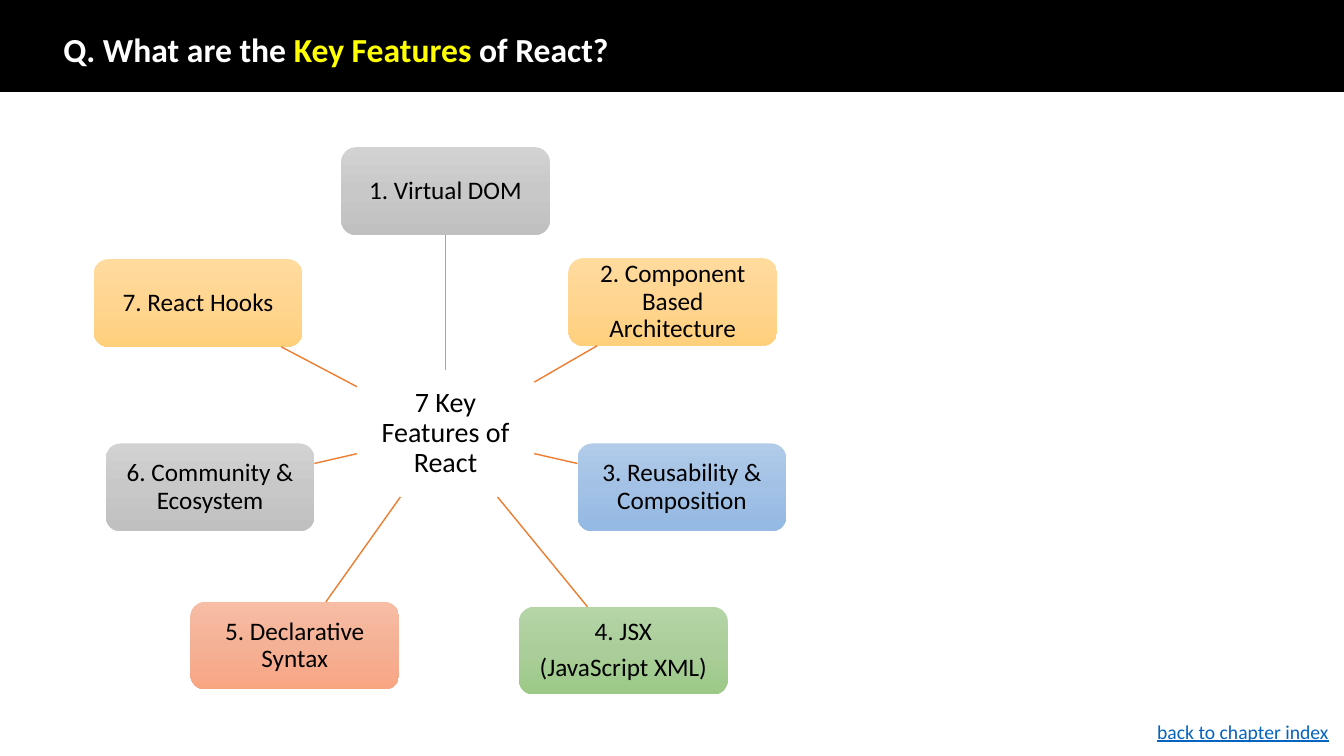
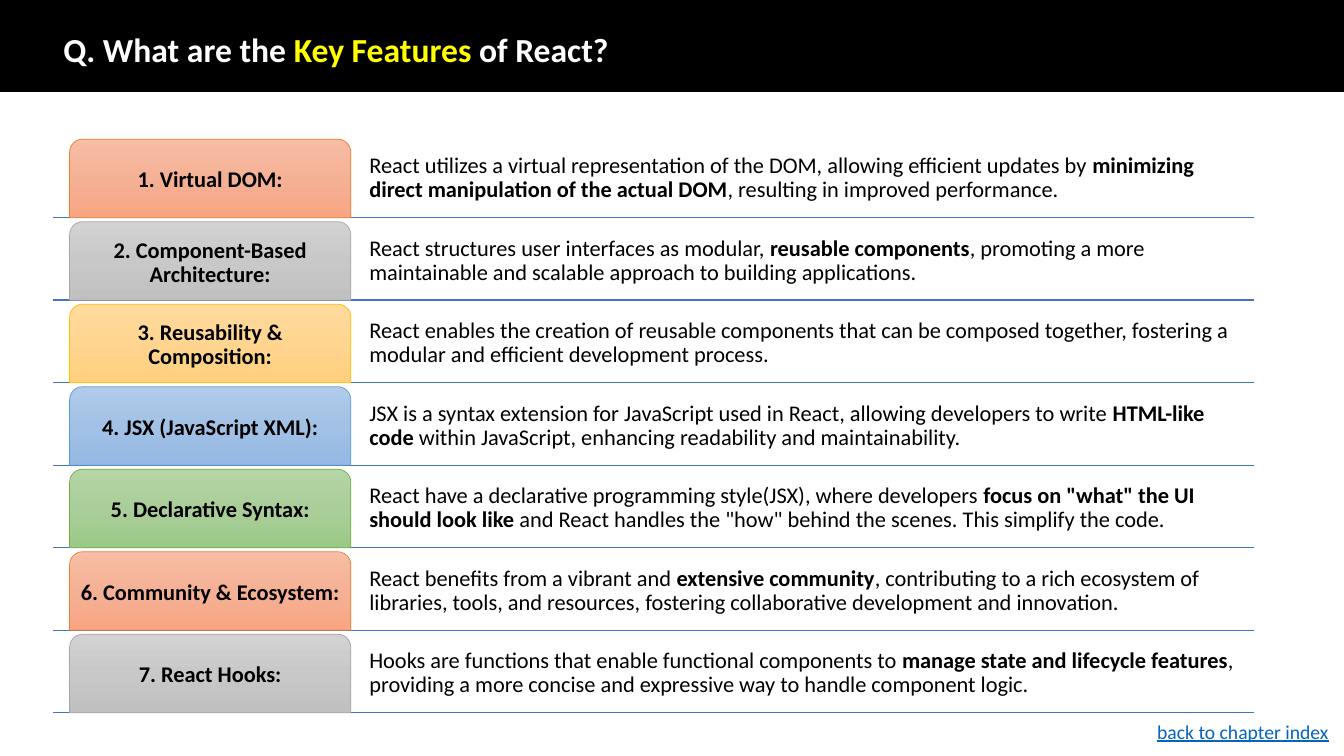
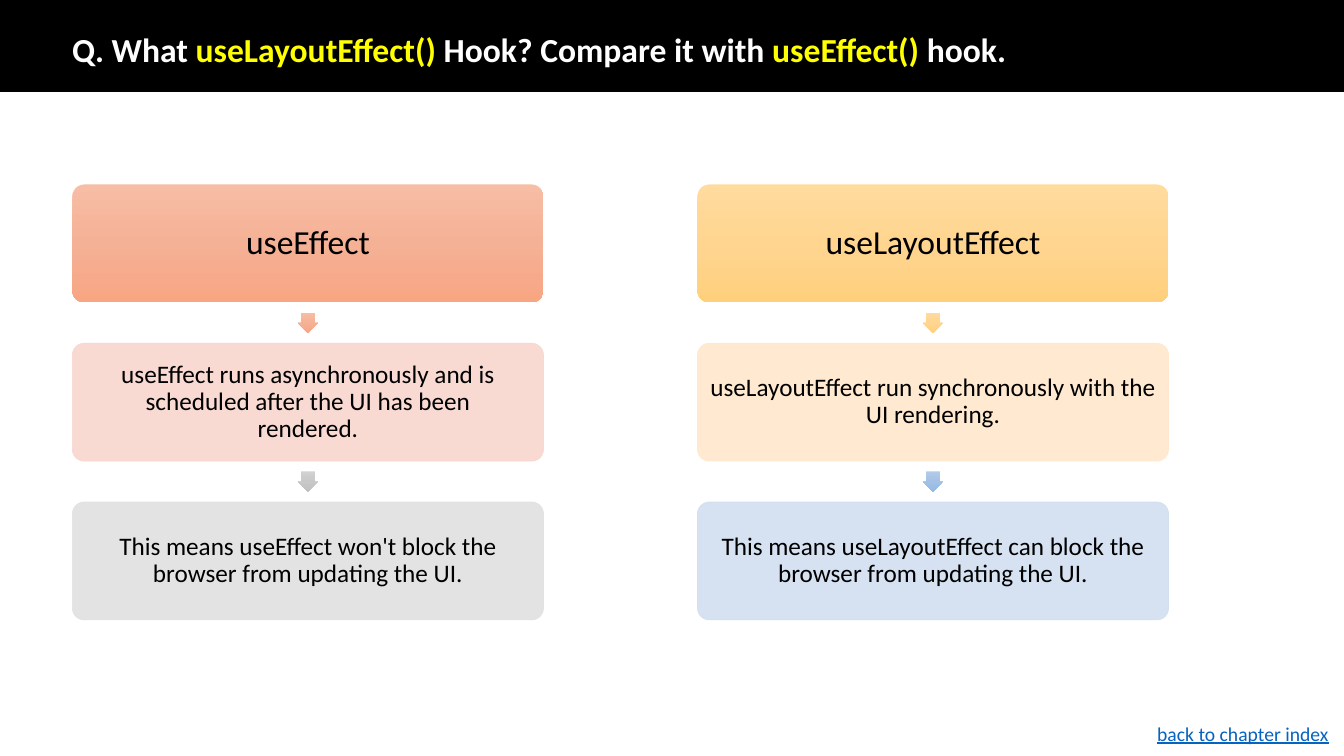
import copy
from dataclasses import dataclass
from typing import Optional

import lxml.etree
import pptx
import pptx.dml.color
import pptx.enum.shapes
import pptx.enum.text
import pptx.oxml.ns
import pptx.util

Pt = pptx.util.Pt
qn = pptx.oxml.ns.qn
SHAPE = pptx.enum.shapes.MSO_SHAPE
ALIGN = pptx.enum.text.PP_ALIGN
ANCHOR = pptx.enum.text.MSO_ANCHOR

FONT = "Calibri"
SLIDE_W, SLIDE_H = 960, 540
COLORS = {
    "black": "000000", "white": "FFFFFF", "yellow": "FFFF00", "link": "0563C1",
    "rule": "4472C4", "orange": "ED7D31", "gray": "A5A5A5", "gold": "FFC000",
    "blue": "5B9BD5", "green": "70AD47",
    "pale orange": "F8D7CE", "pale gray": "E1E1E1",
    "pale gold": "FFE8CC", "pale blue": "D2DFF0",
}
GRADIENTS = {
    "orange": ("F7BDA5", "F5B196", "F8A582"),
    "gray": ("D2D2D2", "C8C8C8", "C0C0C0"),
    "gold": ("FFDB9E", "FFD590", "FFD07C"),
    "blue": ("B1CBE9", "A3C1E5", "93B9E4"),
    "green": ("B5D5A7", "AACE9A", "9CC987"),
}


@dataclass
class Box:
    x: float
    y: float
    w: float
    h: float

    @property
    def center(self) -> tuple[float, float]:
        return self.x + self.w / 2, self.y + self.h / 2


@dataclass
class Style:
    size: float
    color: str = "black"
    bold: bool = False
    underline: bool = False
    align: Optional[int] = ALIGN.CENTER
    spacing: Optional[float] = 0.9
    mark_color: Optional[str] = None  # emphasis by colour; bold when None


@dataclass
class Feature:
    text: str
    hue: str
    cx: float
    cy: float


@dataclass
class Row:
    label: str
    hue: str
    text: str


@dataclass
class Step:
    text: str
    fill: str
    arrow: str


@dataclass
class Column:
    x: float
    head: str
    hue: str
    inset: float
    steps: list[Step]


TITLE = Style(24, "white", bold=True, align=None, mark_color="yellow")
LINK = Style(14, "link", underline=True, align=None, spacing=None)


# Shared helpers
def rgb(value: str) -> pptx.dml.color.RGBColor:
    return pptx.dml.color.RGBColor.from_string(value)


def write(sp, text: str, style: Style, inset_x: float, inset_y: float, anchor=ANCHOR.MIDDLE) -> None:
    """Fill a shape with text; *stars* enclose emphasised runs."""
    tf = sp.text_frame
    tf.word_wrap = True
    tf.vertical_anchor = anchor
    tf.margin_left = tf.margin_right = Pt(inset_x)
    tf.margin_top = tf.margin_bottom = Pt(inset_y)
    for i, line in enumerate(text.split("\n")):
        p = tf.add_paragraph() if i else tf.paragraphs[0]
        if i:
            p.space_before = Pt(round(0.35 * style.size, 1))
        p.alignment = style.align
        p.line_spacing = style.spacing
        p.font.name = FONT
        p.font.size = Pt(style.size)
        p.font.bold = style.bold
        p.font.underline = style.underline
        p.font.color.rgb = rgb(COLORS[style.color])
        for j, part in enumerate(line.split("*")):
            if not part:
                continue
            r = p.add_run()
            r.text = part
            if j % 2 and style.mark_color:
                r.font.color.rgb = rgb(COLORS[style.mark_color])
            elif j % 2:
                r.font.bold = True


def add_text(s, box: Box, text: str, style: Style, inset_x: float = 7.2,
             inset_y: float = 3.6, anchor=ANCHOR.MIDDLE) -> None:
    sp = s.shapes.add_textbox(Pt(box.x), Pt(box.y), Pt(box.w), Pt(box.h))
    write(sp, text, style, inset_x, inset_y, anchor)


def fill_gradient(sp, hue: str) -> None:
    sp.fill.gradient()
    sp.fill.gradient_angle = 270
    stops = sp._element.spPr.find(".//" + qn("a:gsLst"))
    stops.insert(1, copy.deepcopy(stops[0]))
    for stop, position, value in zip(sp.fill.gradient_stops, (0, 0.5, 1), GRADIENTS[hue]):
        stop.position = position
        stop.color.rgb = rgb(value)


def add_shape(s, kind, box: Box, fill: str = "", hue: str = "",
              line: str = "", line_width: float = 0.5, adjust: tuple[float, ...] = ()):
    sp = s.shapes.add_shape(kind, Pt(box.x), Pt(box.y), Pt(box.w), Pt(box.h))
    sp.shadow.inherit = False
    for i, value in enumerate(adjust):
        sp.adjustments[i] = value
    if hue:
        fill_gradient(sp, hue)
    else:
        sp.fill.solid()
        sp.fill.fore_color.rgb = rgb(COLORS[fill])
    if line:
        sp.line.color.rgb = rgb(COLORS[line])
        sp.line.width = Pt(line_width)
    else:
        sp.line.fill.background()
    return sp


def set_alpha(sp, percent: int) -> None:
    for color in sp._element.spPr.iter(qn("a:srgbClr")):
        lxml.etree.SubElement(color, qn("a:alpha"), val=str(percent * 1000))


def add_line(s, start: tuple[float, float], end: tuple[float, float], color: str):
    c = s.shapes.add_connector(pptx.enum.shapes.MSO_CONNECTOR.STRAIGHT,
                               *(Pt(v) for v in (*start, *end)))
    c.line.color.rgb = rgb(COLORS[color])
    c.line.width = Pt(1)
    lxml.etree.SubElement(c._element.spPr, qn("a:effectLst"))
    return c


def add_slide(prs, title: str, title_x: float = 38.2, link_y: float = 510.5):
    s = prs.slides.add_slide(prs.slide_layouts[6])
    add_shape(s, SHAPE.RECTANGLE, Box(0, 0, SLIDE_W, 65.5), fill="black", line="black", line_width=1)
    add_text(s, Box(title_x, 24.5, 828, 25.2), title, TITLE)
    add_text(s, Box(819.5, link_y, 140.5, 24.5), "back to chapter index", LINK, anchor=ANCHOR.TOP)
    return s


# Slide 1: features around a hub
HUB = Box(254.9, 264.2, 126.7, 90.8)
FEATURE_W, FEATURE_H = 149, 62.6
FEATURES = [
    Feature("1. Virtual DOM", "gray", 318.25, 136.5),
    Feature("2. Component Based Architecture", "gold", 480.6, 215.7),
    Feature("3. Reusability & Composition", "blue", 487.1, 348.1),
    Feature("4. JSX\n(JavaScript XML)", "green", 445.3, 464.8),
    Feature("5. Declarative Syntax", "orange", 210.6, 461.2),
    Feature("6. Community & Ecosystem", "gray", 150.1, 348.1),
    Feature("7. React Hooks", "gold", 141.5, 216.4),
]


def edge_point(box: Box, target: tuple[float, float]) -> tuple[float, float]:
    """Where the line from the box centre to the target leaves the box."""
    cx, cy = box.center
    dx, dy = target[0] - cx, target[1] - cy
    t = 1 / max(abs(dx) / (box.w / 2), abs(dy) / (box.h / 2))
    return cx + dx * t, cy + dy * t


def build_hub_slide(prs, title: str) -> None:
    s = add_slide(prs, title)
    hub = add_shape(s, SHAPE.ROUNDED_RECTANGLE, HUB, fill="white")
    write(hub, "7 Key Features of React", Style(20), 4.3, 4.3)
    for i, f in enumerate(FEATURES):
        box = Box(f.cx - FEATURE_W / 2, f.cy - FEATURE_H / 2, FEATURE_W, FEATURE_H)
        sp = add_shape(s, SHAPE.ROUNDED_RECTANGLE, box, hue=f.hue)
        write(sp, f.text, Style(18), 3.6, 3.6)
        spoke = add_line(s, edge_point(HUB, box.center), edge_point(box, HUB.center),
                         "orange" if i else "gray")
        if i == 0:  # the vertical spoke meets both side middles
            spoke.begin_connect(hub, 0)
            spoke.end_connect(sp, 2)


# Slide 2: labelled rows
ROW_TOP, ROW_H, ROW_PITCH = 99.4, 56.1, 58.94
ROWS = [
    Row("1. Virtual DOM:", "orange",
        "React utilizes a virtual representation of the DOM, allowing efficient updates by "
        "*minimizing direct manipulation of the actual DOM*, resulting in improved performance."),
    Row("2. Component-Based Architecture:", "gray",
        "React structures user interfaces as modular, *reusable components*, promoting a more "
        "maintainable and scalable approach to building applications."),
    Row("3. Reusability & Composition:", "gold",
        "React enables the creation of reusable components that can be composed together, "
        "fostering a modular and efficient development process."),
    Row("4. JSX (JavaScript XML):", "blue",
        "JSX is a syntax extension for JavaScript used in React, allowing developers to write "
        "*HTML-like code* within JavaScript, enhancing readability and maintainability."),
    Row("5. Declarative Syntax:", "green",
        "React have a declarative programming style(JSX), where developers "
        "*focus on \"what\" the UI should look like* and React handles the \"how\" behind the "
        "scenes. This simplify the code."),
    Row("6. Community & Ecosystem:", "orange",
        "React benefits from a vibrant and *extensive community*, contributing to a rich "
        "ecosystem of libraries, tools, and resources, fostering collaborative development "
        "and innovation."),
    Row("7. React Hooks:", "gray",
        "Hooks are functions that enable functional components to *manage state and lifecycle "
        "features*, providing a more concise and expressive way to handle component logic."),
]


def build_rows_slide(prs, title: str) -> None:
    s = add_slide(prs, title)
    for i, row in enumerate(ROWS):
        y = ROW_TOP + i * ROW_PITCH
        add_line(s, (38.2, y + ROW_H), (895.7, y + ROW_H), "rule")
        add_text(s, Box(261.4, y, 634.3, ROW_H), row.text, Style(16, align=None), 2.4, 2.4)
        label = add_shape(s, SHAPE.ROUND_2_SAME_RECTANGLE, Box(49.7, y, 200.9, ROW_H),
                          hue=row.hue, line=row.hue)
        write(label, row.label, Style(16, bold=True), 2.4, 2.4)


# Slide 3: two columns of steps
STEP_TOP, STEP_W, STEP_H, STEP_PITCH, ARROW = 131.8, 336.5, 84.2, 113.4, 14.6
COLUMNS = [
    Column(51.7, "useEffect", "orange", 14.4, [
        Step("useEffect runs asynchronously and is scheduled after the UI has been rendered.",
             "pale orange", "orange"),
        Step("This means useEffect won't block the browser from updating the UI.",
             "pale gray", "gray"),
    ]),
    Column(498.2, "useLayoutEffect", "gold", 2.4, [
        Step("useLayoutEffect run synchronously with the UI rendering.", "pale gold", "gold"),
        Step("This means useLayoutEffect can block the browser from updating the UI.",
             "pale blue", "blue"),
    ]),
]


def build_compare_slide(prs, title: str) -> None:
    s = add_slide(prs, title, title_x=44.4, link_y=512)
    for col in COLUMNS:
        head = add_shape(s, SHAPE.ROUNDED_RECTANGLE, Box(col.x, STEP_TOP, STEP_W, STEP_H),
                         hue=col.hue, adjust=(0.1,))
        write(head, col.head, Style(24), 2.4, 2.4)
        for i, step in enumerate(col.steps, start=1):
            y = STEP_TOP + i * STEP_PITCH
            gap = STEP_PITCH - STEP_H
            arrow = Box(col.x + (STEP_W - ARROW) / 2, y - (gap + ARROW) / 2, ARROW, ARROW)
            add_shape(s, SHAPE.DOWN_ARROW, arrow, hue=step.arrow, adjust=(0.67, 0.5))
            sp = add_shape(s, SHAPE.ROUNDED_RECTANGLE, Box(col.x, y, STEP_W, STEP_H),
                           fill=step.fill, line=step.fill, adjust=(0.1,))
            set_alpha(sp, 90)
            write(sp, step.text, Style(18), col.inset, 2.4)


def main() -> None:
    prs = pptx.Presentation()
    prs.slide_width, prs.slide_height = Pt(SLIDE_W), Pt(SLIDE_H)
    features_title = "Q. What are the *Key Features* of React?"
    build_hub_slide(prs, features_title)
    build_rows_slide(prs, features_title)
    build_compare_slide(prs, "Q. What *useLayoutEffect()* Hook? Compare it with *useEffect()* hook.")
    prs.save("out.pptx")


if __name__ == "__main__":
    main()
